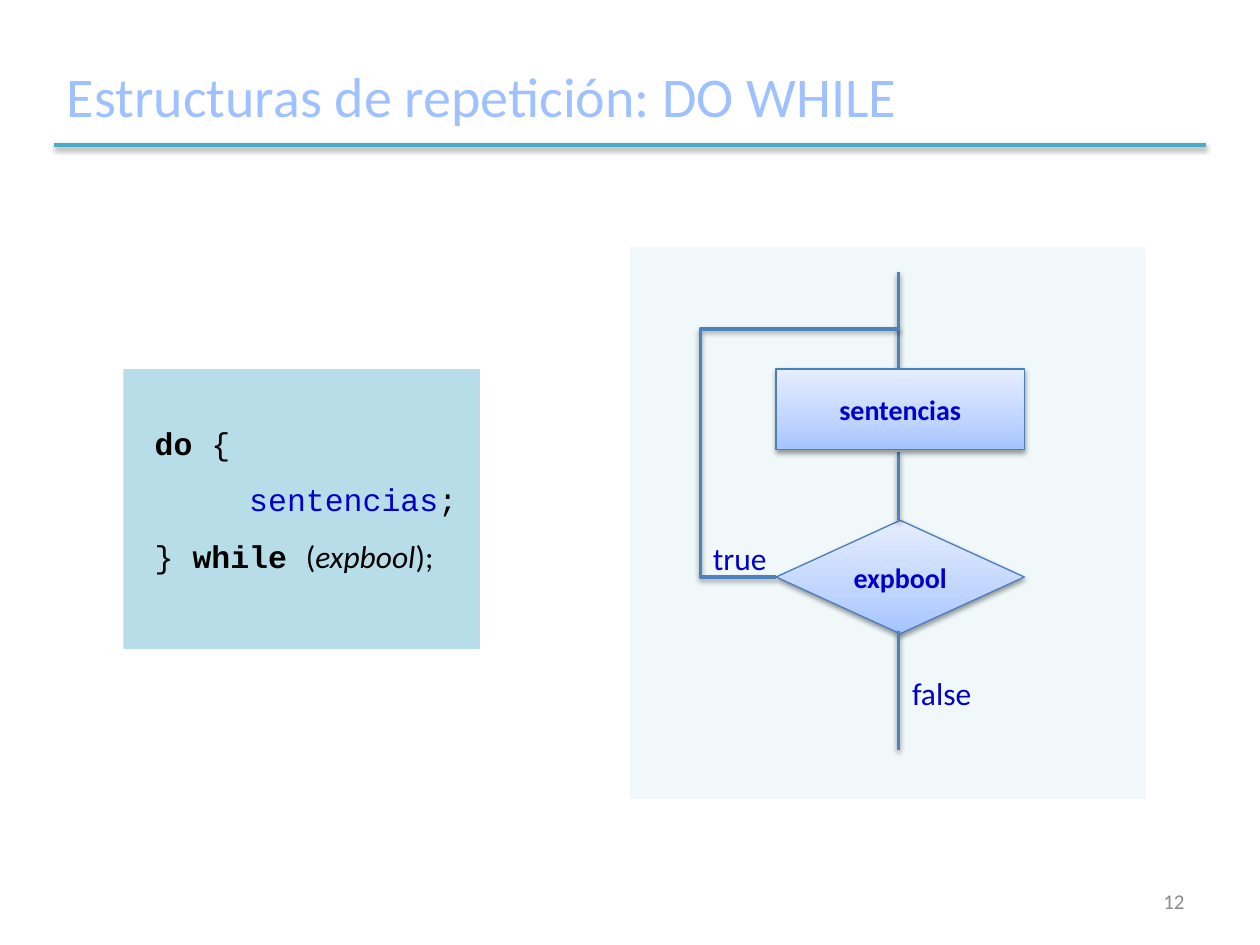
from lxml.etree import SubElement
from pptx import Presentation
from pptx.dml.color import RGBColor
from pptx.enum.shapes import MSO_CONNECTOR, MSO_SHAPE
from pptx.enum.text import MSO_ANCHOR, PP_ALIGN
from pptx.oxml.ns import qn
from pptx.util import Inches, Pt

COLORS = {
    "title": "A0C1FF", "rule": "4BACC6", "flow": "4F81BD", "border": "4B7EBC",
    "panel": "F0F8FA", "code": "B7DEE8", "blue": "0000CC", "black": "000000",
    "gray": "8C8C8C",
}
NODE_STOPS = [(0, "A4C4FF"), (35, "BFD4FF"), (100, "E6EEFF")]
SANS, MONO = "Calibri", "Courier New"


def rgb(name):
    return RGBColor.from_string(COLORS[name])


class SlideBuilder:
    def __init__(self, slide):
        self.s = slide

    def style(self, r, size, color, font=SANS, bold=False, italic=False):
        r.font.name, r.font.size = font, Pt(size)
        r.font.bold, r.font.italic = bold, italic
        r.font.color.rgb = rgb(color)

    def shadow(self, sp):
        effects = SubElement(sp._element.spPr, qn("a:effectLst"))
        outer = SubElement(effects, qn("a:outerShdw"), blurRad=str(Pt(3.1)),
                           dist=str(Pt(1.6)), dir="5400000", rotWithShape="0")
        color = SubElement(outer, qn("a:srgbClr"), val=COLORS["black"])
        SubElement(color, qn("a:alpha"), val="38000")

    def title(self, text, x, y, w, h):
        sp = self.s.shapes.title
        sp.left, sp.top, sp.width, sp.height = map(Inches, (x, y, w, h))
        tf = sp.text_frame
        tf.text = text
        tf.vertical_anchor = MSO_ANCHOR.MIDDLE
        p = tf.paragraphs[0]
        p.alignment = PP_ALIGN.LEFT
        self.style(p.runs[0], 32, "title")

    def text(self, text, x, y, w, h, size, color, align=PP_ALIGN.LEFT):
        tf = self.s.shapes.add_textbox(*map(Inches, (x, y, w, h))).text_frame
        tf.word_wrap = True
        tf.vertical_anchor = MSO_ANCHOR.MIDDLE
        tf.text = text
        p = tf.paragraphs[0]
        p.alignment = align
        self.style(p.runs[0], size, color)

    def panel(self, color, x, y, w, h):
        sp = self.s.shapes.add_shape(MSO_SHAPE.RECTANGLE, *map(Inches, (x, y, w, h)))
        sp.shadow.inherit = False
        sp.fill.solid()
        sp.fill.fore_color.rgb = rgb(color)
        sp.line.fill.background()
        return sp

    def code(self, lines, x, y, w, h):
        tf = self.panel("code", x, y, w, h).text_frame
        tf.word_wrap = True
        tf.vertical_anchor = MSO_ANCHOR.TOP
        tf.margin_top = Inches(0.28)
        for i, line in enumerate(lines):
            p = tf.paragraphs[0] if i == 0 else tf.add_paragraph()
            p.alignment = PP_ALIGN.LEFT
            p.line_spacing = Pt(32.5)
            for text, options in line:
                r = p.add_run()
                r.text = text
                self.style(r, 18, **{"color": "black", "font": MONO, **options})

    def node(self, kind, text, x, y, w, h):
        sp = self.s.shapes.add_shape(kind, *map(Inches, (x, y, w, h)))
        sp.fill.gradient()
        sp.fill.gradient_angle = 90
        stops = sp._element.spPr.find(".//" + qn("a:gsLst"))
        stops.clear()
        for pos, color in NODE_STOPS:
            stop = SubElement(stops, qn("a:gs"), pos=str(pos * 1000))
            SubElement(stop, qn("a:srgbClr"), val=color)
        sp.line.color.rgb = rgb("border")
        sp.line.width = Pt(0.75)
        self.shadow(sp)
        tf = sp.text_frame
        tf.text = text
        tf.vertical_anchor = MSO_ANCHOR.MIDDLE
        p = tf.paragraphs[0]
        p.alignment = PP_ALIGN.CENTER
        self.style(p.runs[0], 16, "blue", bold=True)

    def line(self, color, x1, y1, x2, y2, kind=MSO_CONNECTOR.STRAIGHT):
        c = self.s.shapes.add_connector(kind, *map(Inches, (x1, y1, x2, y2)))
        c.line.color.rgb = rgb(color)
        c.line.width = Pt(2)
        self.shadow(c)
        return c

    def loop_back(self, x1, y1, x2, y2, adjustments):
        # Drawn from its far end, then turned half a circle
        c = self.line("flow", x2, y2, x1, y1, MSO_CONNECTOR.ELBOW)
        spPr = c._element.spPr
        spPr.find(qn("a:xfrm")).set("rot", "10800000")
        geom = spPr.find(qn("a:prstGeom"))
        geom.set("prst", "bentConnector4")
        guides = geom.find(qn("a:avLst"))
        for i, value in enumerate(adjustments, 1):
            SubElement(guides, qn("a:gd"), name=f"adj{i}",
                       fmla=f"val {round(value * 100000)}")


def main():
    prs = Presentation()
    prs.slide_width, prs.slide_height = Inches(10), Inches(7.5)
    b = SlideBuilder(prs.slides.add_slide(prs.slide_layouts[5]))

    # Flowchart background
    b.panel("panel", 5, 1.96, 4.09, 4.38)

    # Title and rule
    b.title("Estructuras de repetición: DO WHILE", 0.43, 0.36, 9.15, 0.79)
    b.line("rule", 0.43, 1.15, 9.57, 1.15)

    # Flowchart
    axis, left, width = 7.13, 6.16, 1.97
    b.line("flow", axis, 2.16, axis, 2.93)
    b.node(MSO_SHAPE.DIAMOND, "expbool", left, 4.13, width, 0.9)
    b.line("flow", axis, 3.59, axis, 4.13)
    b.node(MSO_SHAPE.RECTANGLE, "sentencias", left, 2.93, width, 0.64)
    b.line("flow", axis, 5.01, axis, 5.95)
    b.loop_back(left, 4.58, axis, 2.63, (-0.62, 1.01))
    b.text("true", 5.56, 4.23, 0.7, 0.4, 18, "blue")
    b.text("false", 7.14, 5.3, 0.8, 0.4, 18, "blue")

    # Code
    b.code([
        [(" do ", {"bold": True}), ("{", {})],
        [("      ", {}), ("sentencias", {"color": "blue"}), (";", {})],
        [(" } ", {}), ("while ", {"bold": True}), ("(", {"font": SANS}),
         ("expbool", {"font": SANS, "italic": True}), (");", {"font": SANS})],
    ], 0.98, 2.93, 2.83, 2.22)

    # Slide number
    b.text("12", 7.17, 6.95, 2.33, 0.4, 12, "gray", PP_ALIGN.RIGHT)

    prs.save("out.pptx")


if __name__ == "__main__":
    main()
